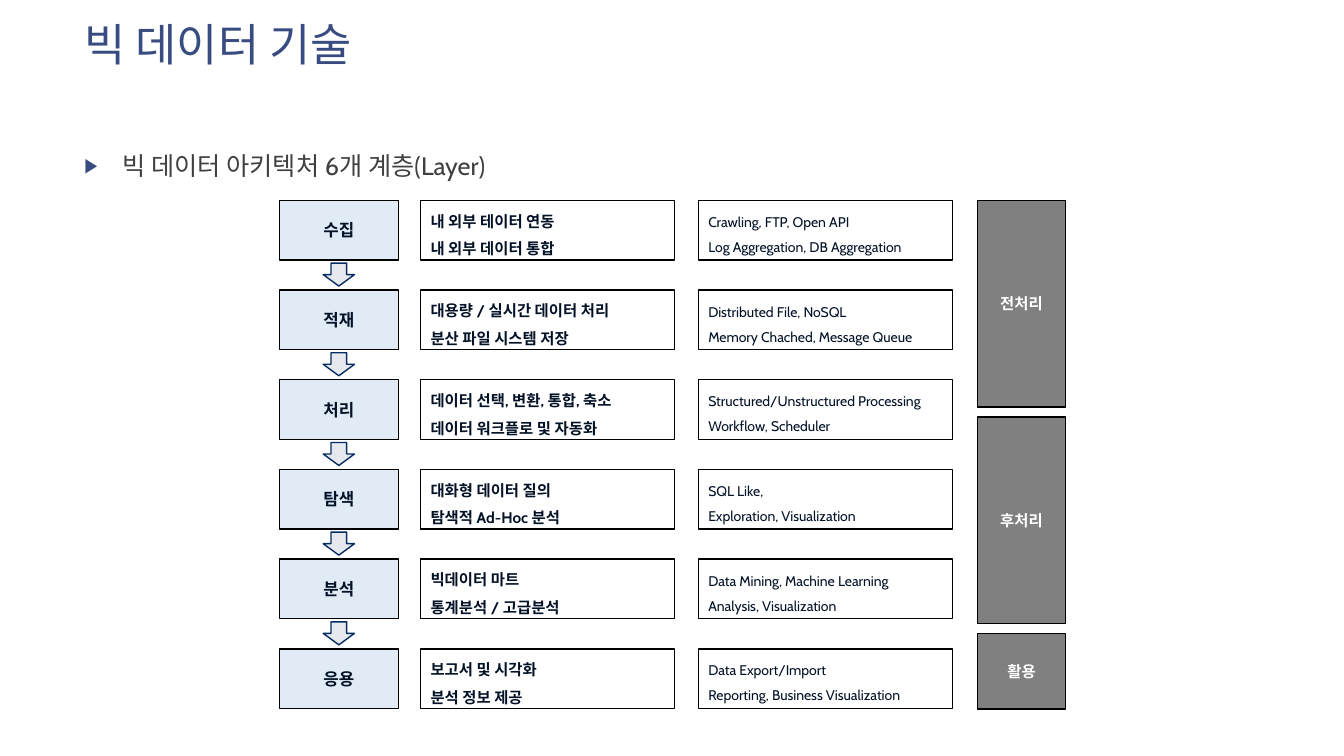
import pptx
import pptx.util
import pptx.dml.color
import pptx.enum.shapes
import pptx.enum.text
from lxml import etree

Cm, Pt = pptx.util.Cm, pptx.util.Pt
Kind = pptx.enum.shapes.MSO_SHAPE
Align = pptx.enum.text.PP_ALIGN
Anchor = pptx.enum.text.MSO_ANCHOR

TITLE = "빅 데이터 기술"
LEAD = "빅 데이터 아키텍처 6개 계층(Layer)"
# layer, tasks, tools
LAYERS = [
    ("수집", ["내 외부 테이터 연동", "내 외부 데이터 통합"],
     ["Crawling, FTP, Open API", "Log Aggregation, DB Aggregation"]),
    ("적재", ["대용량 / 실시간 데이터 처리", "분산 파일 시스템 저장"],
     ["Distributed File, NoSQL", "Memory Chached, Message Queue"]),
    ("처리", ["데이터 선택, 변환, 통합, 축소", "데이터 워크플로 및 자동화"],
     ["Structured/Unstructured Processing", "Workflow, Scheduler"]),
    ("탐색", ["대화형 데이터 질의", "탐색적 Ad-Hoc 분석"],
     ["SQL Like,", "Exploration, Visualization"]),
    ("분석", ["빅데이터 마트", "통계분석 / 고급분석"],
     ["Data Mining, Machine Learning", "Analysis, Visualization"]),
    ("응용", ["보고서 및 시각화", "분석 정보 제공"],
     ["Data Export/Import", "Reporting, Business Visualization"]),
]
# phase, height in cm
PHASES = [("전처리", 5.21), ("후처리", 5.21), ("활용", 1.9)]

THEME = {
    "font": "Cabin",
    "title": {"size": 32, "color": "384C81"},
    "lead": {"size": 18, "color": "404040"},
    "layer": {"size": 12, "color": "031227", "bold": True},
    "task": {"size": 11, "color": "031227", "bold": True},
    "tool": {"size": 10, "color": "031227"},
    "phase": {"size": 11, "color": "FFFFFF", "bold": True},
    "mark": "384C81", "edge": "000000", "pale": "E0EBF6",
    "gray": "808080", "arrow": "E5E9EE", "navy": "072C62",
}
TOP, STEP, HIGH = 5.05, 2.26, 1.5
LAYER_X, TASK_X, TOOL_X, PHASE_X = 7.04, 10.6, 17.6, 24.64
LAYER_W, CELL_W, PHASE_W = 3.0, 6.4, 2.21
ARROW_W, ARROW_H, ARROW_DY = 0.79, 0.58, 1.58
GAP = 0.25


def rgb(code):
    return pptx.dml.color.RGBColor.from_string(code)


def write(frame, lines, style, **form):
    """Fill a frame with one paragraph per line; form holds paragraph formats."""
    frame.word_wrap = True
    for i, line in enumerate(lines):
        para = frame.paragraphs[0] if i == 0 else frame.add_paragraph()
        for name, value in form.items():
            setattr(para, name, value)
        run = para.add_run()
        run.text = line
        look = {"name": THEME["font"], "size": Pt(style["size"]),
                "bold": style.get("bold", False)}
        for name, value in look.items():
            setattr(run.font, name, value)
        run.font.color.rgb = rgb(style["color"])


def text(slide, box, line, style):
    frame = slide.shapes.add_textbox(*map(Cm, box)).text_frame
    write(frame, [line], style)
    return frame.paragraphs[0]


def bullet(para):
    """Put a triangle before a paragraph with a hanging indent."""
    props = para._p.get_or_add_pPr()
    props.set("marL", str(Cm(0.96)))
    props.set("indent", str(-Cm(0.96)))
    space = "http://schemas.openxmlformats.org/drawingml/2006/main"
    tag = "{%s}" % space
    color = etree.SubElement(props, tag + "buClr")
    etree.SubElement(color, tag + "srgbClr", val=THEME["mark"])
    etree.SubElement(props, tag + "buSzPct", val="80000")
    etree.SubElement(props, tag + "buFont", typeface="Arial")
    etree.SubElement(props, tag + "buChar", char="▶")


def block(slide, box, fill=None, edge="edge", kind=Kind.RECTANGLE):
    shape = slide.shapes.add_shape(kind, *map(Cm, box))
    shape.shadow.inherit = False
    if fill:
        shape.fill.solid()
        shape.fill.fore_color.rgb = rgb(THEME[fill])
    else:
        shape.fill.background()
    shape.line.color.rgb = rgb(THEME[edge])
    shape.line.width = Pt(1)
    shape.text_frame.vertical_anchor = Anchor.MIDDLE
    return shape


def main():
    deck = pptx.Presentation()
    deck.slide_width, deck.slide_height = Cm(33.87), Cm(19.05)
    slide = deck.slides.add_slide(deck.slide_layouts[6])

    text(slide, (1.88, 0.3, 23.88, 3.35), TITLE, THEME["title"])
    bullet(text(slide, (1.88, 3.66, 23.88, 1.2), LEAD, THEME["lead"]))

    for i, (layer, tasks, tools) in enumerate(LAYERS):
        y = TOP + i * STEP
        shape = block(slide, (LAYER_X, y, LAYER_W, HIGH), "pale")
        write(shape.text_frame, [layer], THEME["layer"], alignment=Align.CENTER)
        for x, lines, style in ((TASK_X, tasks, "task"), (TOOL_X, tools, "tool")):
            shape = block(slide, (x, y, CELL_W, HIGH))
            write(shape.text_frame, lines, THEME[style],
                  alignment=Align.LEFT, line_spacing=1.5)
        if i < len(LAYERS) - 1:
            x = LAYER_X + (LAYER_W - ARROW_W) / 2
            block(slide, (x, y + ARROW_DY, ARROW_W, ARROW_H),
                  "arrow", "navy", Kind.DOWN_ARROW)

    y = TOP
    for phase, high in PHASES:
        shape = block(slide, (PHASE_X, y, PHASE_W, high), "gray")
        write(shape.text_frame, [phase], THEME["phase"], alignment=Align.CENTER)
        y += high + GAP

    deck.save("out.pptx")


if __name__ == "__main__":
    main()
